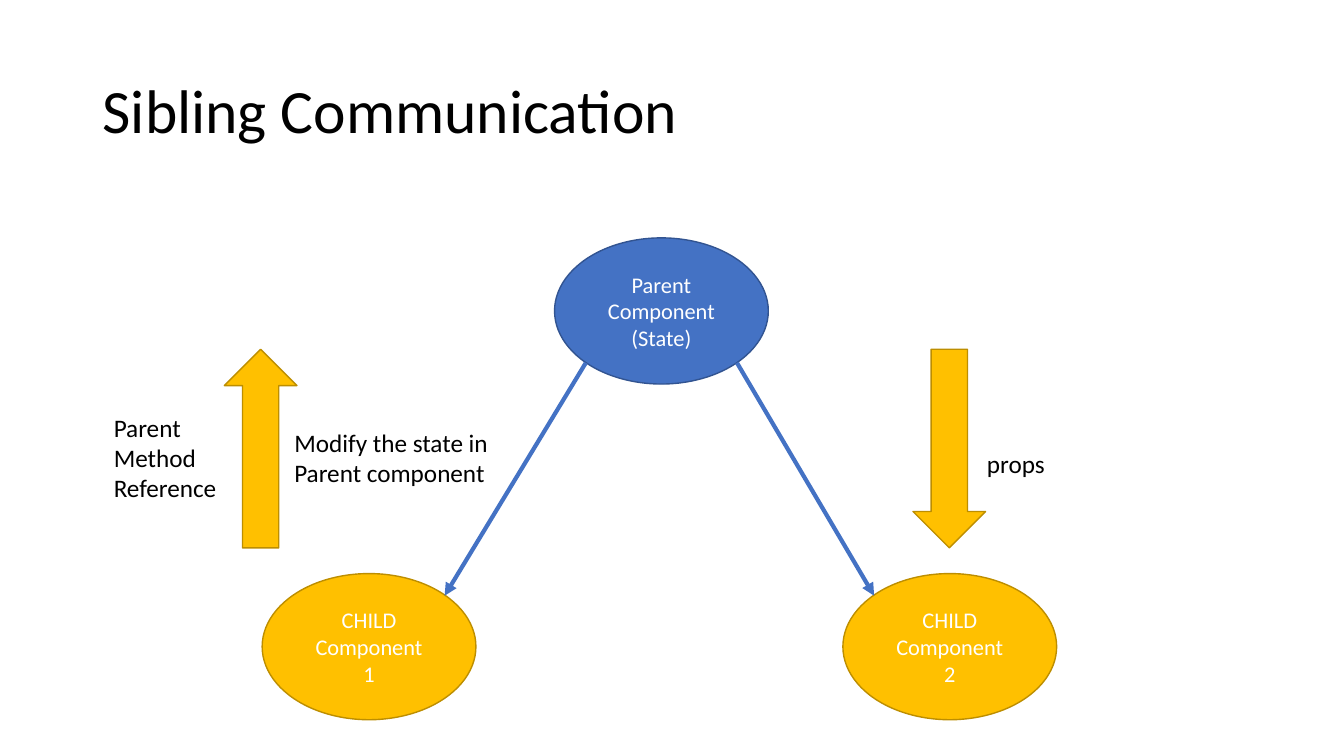
from dataclasses import dataclass

import pptx
import pptx.dml.color
import pptx.enum.dml
import pptx.enum.shapes
import pptx.enum.text
import pptx.oxml
import pptx.oxml.ns
import pptx.util

RGBColor = pptx.dml.color.RGBColor
Shape = pptx.enum.shapes.MSO_SHAPE
Align = pptx.enum.text.PP_ALIGN
Anchor = pptx.enum.text.MSO_ANCHOR

BLACK = RGBColor(0x00, 0x00, 0x00)
WHITE = RGBColor(0xFF, 0xFF, 0xFF)
BLUE = RGBColor(0x44, 0x72, 0xC4)
DARK_BLUE = RGBColor(0x32, 0x54, 0x91)
GOLD = RGBColor(0xFF, 0xC0, 0x00)
DARK_GOLD = RGBColor(0xBD, 0x8E, 0x00)

FONT = "Calibri"
EMU_PER_PX = 9144
NODE_W, NODE_H = 212, 145
ARROW_W, ARROW_H = 197, 72


@dataclass(frozen=True)
class Node:
    x: int
    y: int
    text: str
    fill: RGBColor = GOLD
    line: RGBColor = DARK_GOLD


@dataclass(frozen=True)
class Link:
    x1: int
    y1: int
    x2: int
    y2: int


@dataclass(frozen=True)
class BlockArrow:
    x: int
    y: int
    rotation: int


@dataclass(frozen=True)
class Label:
    x: int
    y: int
    w: int
    h: int
    text: str


NODES = [
    Node(550, 236, "Parent Component\n(State)", BLUE, DARK_BLUE),
    Node(260, 569, "CHILD Component\n1"),
    Node(836, 569, "CHILD Component\n2"),
]
LINKS = [Link(581, 360, 441, 591), Link(731, 360, 867, 591)]
BLOCK_ARROWS = [BlockArrow(160, 409, 270), BlockArrow(843, 409, 90)]
LABELS = [
    Label(103, 404, 131, 101, "Parent\nMethod\nReference"),
    Label(282, 419, 215, 71, "Modify the state in\nParent component"),
    Label(969, 440, 78, 40, "props"),
]


def px(n: int) -> pptx.util.Emu:
    return pptx.util.Emu(n * EMU_PER_PX)


def write(s, text: str, *, size: int, color: RGBColor = BLACK,
          align=Align.LEFT, anchor=Anchor.TOP, wrap: bool = True,
          spacing: float = 1.0) -> None:
    tf = s.text_frame
    tf.word_wrap = wrap
    tf.vertical_anchor = anchor
    for i, line in enumerate(text.split("\n")):
        p = tf.add_paragraph() if i else tf.paragraphs[0]
        p.alignment = align
        p.line_spacing = spacing
        r = p.add_run()
        r.text = line
        r.font.name = FONT
        r.font.size = pptx.util.Pt(size)
        r.font.color.rgb = color


def add_filled(slide, kind, x: int, y: int, w: int, h: int,
               fill: RGBColor, line: RGBColor):
    s = slide.shapes.add_shape(kind, px(x), px(y), px(w), px(h))
    s.shadow.inherit = False
    s.fill.solid()
    s.fill.fore_color.rgb = fill
    s.line.color.rgb = line
    s.line.width = pptx.util.Pt(1)
    return s


def add_node(slide, node: Node) -> None:
    s = add_filled(slide, Shape.OVAL, node.x, node.y, NODE_W, NODE_H,
                   node.fill, node.line)
    write(s, node.text, size=16, color=WHITE, align=Align.CENTER,
          anchor=Anchor.MIDDLE)


def add_link(slide, link: Link) -> None:
    s = slide.shapes.add_connector(
        pptx.enum.shapes.MSO_CONNECTOR.STRAIGHT,
        px(link.x1), px(link.y1), px(link.x2), px(link.y2))
    s.line.color.rgb = BLUE
    s.line.width = pptx.util.Pt(3)
    tail = pptx.oxml.parse_xml(
        f'<a:tailEnd {pptx.oxml.ns.nsdecls("a")} type="triangle"/>')
    s.line._get_or_add_ln().append(tail)
    effects = pptx.oxml.parse_xml(
        f'<a:effectLst {pptx.oxml.ns.nsdecls("a")}/>')
    s._element.spPr.append(effects)


def add_block_arrow(slide, arrow: BlockArrow) -> None:
    s = add_filled(slide, Shape.RIGHT_ARROW, arrow.x, arrow.y,
                   ARROW_W, ARROW_H, GOLD, DARK_GOLD)
    s.rotation = arrow.rotation


def add_box(slide, x: int, y: int, w: int, h: int):
    return slide.shapes.add_textbox(px(x), px(y), px(w), px(h))


def add_label(slide, label: Label) -> None:
    s = add_box(slide, label.x, label.y, label.w, label.h)
    write(s, label.text, size=18, wrap=False)


def main() -> None:
    prs = pptx.Presentation()
    prs.slide_width, prs.slide_height = px(1333), px(750)
    slide = prs.slides.add_slide(prs.slide_layouts[6])

    title = add_box(slide, 92, 40, 1150, 145)
    write(title, "Sibling Communication", size=44, anchor=Anchor.MIDDLE,
          spacing=0.9)
    for node in NODES:
        add_node(slide, node)
    for link in LINKS:
        add_link(slide, link)
    for arrow in BLOCK_ARROWS:
        add_block_arrow(slide, arrow)
    for label in LABELS:
        add_label(slide, label)

    prs.save("out.pptx")


if __name__ == "__main__":
    main()
